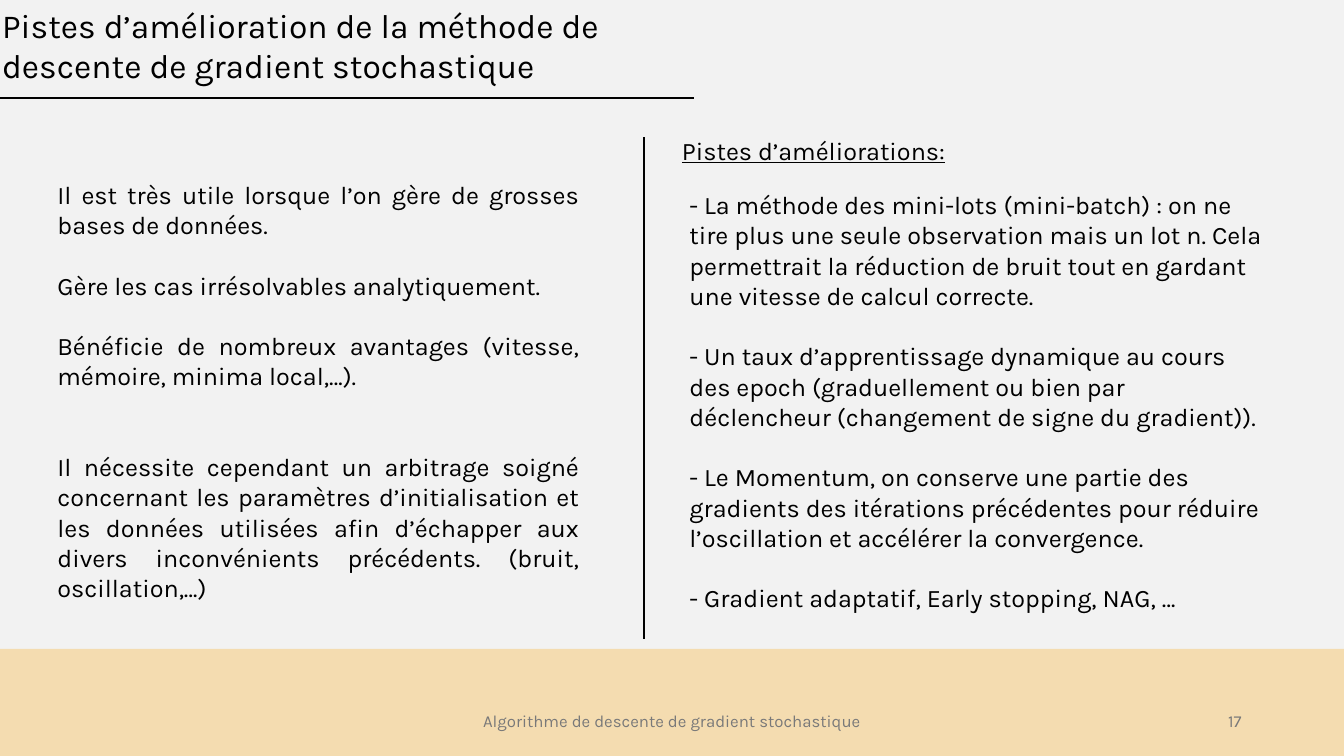
from lxml.etree import SubElement
from pptx import Presentation
from pptx.dml.color import RGBColor
from pptx.enum.shapes import MSO_CONNECTOR as Connector, MSO_SHAPE as Shape
from pptx.enum.text import MSO_ANCHOR as Anchor, MSO_AUTO_SIZE as AutoSize, PP_ALIGN as Align
from pptx.oxml.ns import qn
from pptx.util import Pt

BACKGROUND = RGBColor(0xF2, 0xF2, 0xF2)
SAND = RGBColor(0xF4, 0xDC, 0xB0)
BLACK = RGBColor(0x00, 0x00, 0x00)
GREY = RGBColor(0x79, 0x79, 0x79)
FONT = "Karla"
WIDTH, HEIGHT = 960, 540
LINE_PITCH = 21.6

TITLE = "Pistes d’amélioration de la méthode de descente de gradient stochastique"
FOOTER = "Algorithme de descente de gradient stochastique"
PAGE_NUMBER = "17"
HEADING = "Pistes d’améliorations:"
ASSESSMENT = [
    (0, "Il est très utile lorsque l’on gère de grosses bases de données."),
    (1, "Gère les cas irrésolvables analytiquement."),
    (1, "Bénéficie de nombreux avantages (vitesse, mémoire, minima local,…)."),
    (2, "Il nécessite cependant un arbitrage soigné concernant les paramètres "
        "d’initialisation et les données utilisées afin d’échapper aux divers "
        "inconvénients précédents. (bruit, oscillation,…)"),
]
IMPROVEMENTS = [
    (0, "- La méthode des mini-lots (mini-batch) : on ne tire plus une seule "
        "observation mais un lot n. Cela permettrait la réduction de bruit tout "
        "en gardant une vitesse de calcul correcte."),
    (1, "- Un taux d’apprentissage dynamique au cours des epoch (graduellement "
        "ou bien par déclencheur (changement de signe du gradient))."),
    (1, "- Le Momentum, on conserve une partie des gradients des itérations "
        "précédentes pour réduire l’oscillation et accélérer la convergence."),
    (1, "- Gradient adaptatif, Early stopping, NAG, …"),
]


def place(shape, box):
    """Move a shape to a box of left, top, width and height in points."""
    shape.left, shape.top, shape.width, shape.height = map(Pt, box)


def write(shape, entries, size, color=BLACK, align=Align.LEFT, anchor=Anchor.TOP,
          underline=False):
    """Fill a shape with paragraphs, each preceded by a number of free lines."""
    frame = shape.text_frame
    frame.word_wrap = True
    frame.auto_size = AutoSize.NONE
    frame.vertical_anchor = anchor
    for index, (free_lines, text) in enumerate(entries):
        paragraph = frame.add_paragraph() if index else frame.paragraphs[0]
        paragraph.alignment = align
        paragraph.space_before = Pt(free_lines * LINE_PITCH)
        properties = paragraph._p.get_or_add_pPr()
        properties.set("marL", "0")
        properties.set("indent", "0")
        SubElement(properties, qn("a:buNone"))
        run = paragraph.add_run()
        run.text = text
        run.font.name = FONT
        run.font.size = Pt(size)
        run.font.color.rgb = color
        run.font.underline = underline


def add_text(slide, box, text, size, **style):
    """Add a text box holding one paragraph."""
    text_box = slide.shapes.add_textbox(*map(Pt, box))
    write(text_box, [(0, text)], size, **style)


def add_rule(slide, start, end):
    """Draw a thin black line between two points."""
    rule = slide.shapes.add_connector(Connector.STRAIGHT, *map(Pt, (*start, *end)))
    rule.line.color.rgb = BLACK
    rule.line.width = Pt(1.5)
    SubElement(rule._element.spPr, qn("a:effectLst"))


def add_footer(slide, box):
    """Draw the bottom band with the running title and the page number."""
    left, top, width, height = box
    band = slide.shapes.add_shape(Shape.RECTANGLE, *map(Pt, box))
    band.shadow.inherit = False
    band.fill.solid()
    band.fill.fore_color.rgb = SAND
    band.line.fill.background()
    text_top, text_height = top + 37, 28.75
    add_text(slide, (left + (width - 324) / 2, text_top, 324, text_height), FOOTER, 12,
             color=GREY, align=Align.CENTER, anchor=Anchor.MIDDLE)
    add_text(slide, (left + width - 282, text_top, 216, text_height), PAGE_NUMBER, 12,
             color=GREY, align=Align.RIGHT, anchor=Anchor.MIDDLE)


def add_title(slide, box):
    """Fill the title and underline it with a rule from the slide edge."""
    left, top, width, height = box
    place(slide.shapes.title, box)
    write(slide.shapes.title, [(0, TITLE)], 24)
    rule_top = top + height + 4.25
    add_rule(slide, (0, rule_top), (left + width + 16.5, rule_top))


def add_assessment(slide, box):
    """Fill the left column with the justified assessment."""
    body = slide.placeholders[1]
    place(body, box)
    write(body, ASSESSMENT, 18, align=Align.JUSTIFY)


def add_improvements(slide, box):
    """Fill the right column with its heading, its list and the divider."""
    left, top, width, height = box
    add_rule(slide, (left - 20, top + 5), (left - 20, top + 363.5))
    add_text(slide, (left, top, 381.5, 29), HEADING, 18, underline=True)
    body = slide.placeholders[2]
    place(body, (left + 5.25, top + 38.75, width - 5.25, height - 38.75))
    write(body, IMPROVEMENTS, 18)


def main():
    """Build the slide and save it."""
    presentation = Presentation()
    presentation.slide_width, presentation.slide_height = Pt(WIDTH), Pt(HEIGHT)
    slide = presentation.slides.add_slide(presentation.slide_layouts[3])
    slide.background.fill.solid()
    slide.background.fill.fore_color.rgb = BACKGROUND
    add_footer(slide, (0, 463.5, WIDTH, 76.5))
    add_title(slide, (-5.75, 0, 485.25, 65.5))
    add_assessment(slide, (33.75, 124.5, 387.25, 291))
    add_improvements(slide, (480, 93, 434.5, 373))
    presentation.save("out.pptx")


if __name__ == "__main__":
    main()
